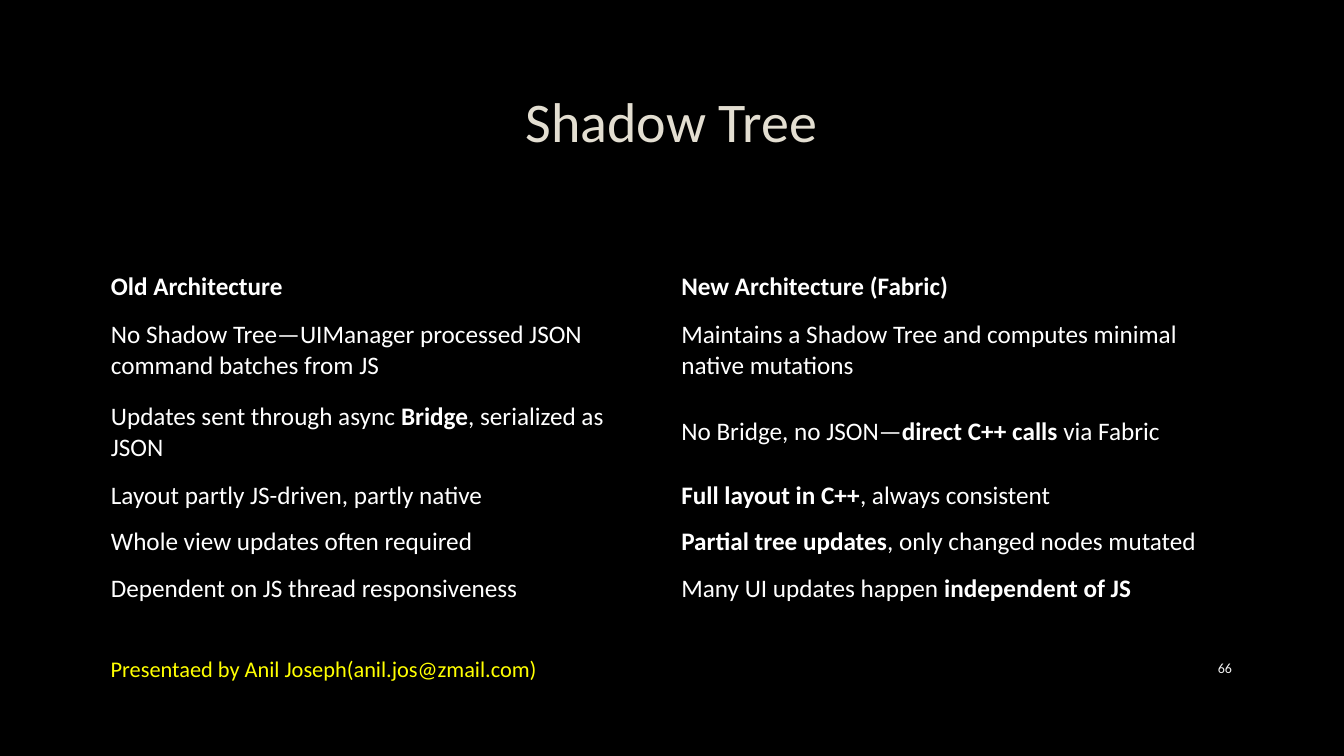
from dataclasses import dataclass

from pptx import Presentation
from pptx.dml.color import RGBColor
from pptx.enum.text import MSO_ANCHOR, PP_ALIGN
from pptx.oxml.ns import qn
from pptx.util import Pt

LEFT, CENTER, RIGHT = PP_ALIGN.LEFT, PP_ALIGN.CENTER, PP_ALIGN.RIGHT
MIDDLE = MSO_ANCHOR.MIDDLE
NO_GRID_STYLE = "{2D5ABB26-0587-4C30-8999-92F81FD0307C}"


@dataclass(frozen=True)
class Theme:
    font: str = "Calibri"
    background: RGBColor = RGBColor(0x00, 0x00, 0x00)
    title: RGBColor = RGBColor(0xE3, 0xDE, 0xD1)
    body: RGBColor = RGBColor(0xFF, 0xFF, 0xFF)
    footer: RGBColor = RGBColor(0xFF, 0xFF, 0x00)
    number: RGBColor = RGBColor(0xF2, 0xF2, 0xF2)
    title_size: int = 40
    body_size: int = 18
    footer_size: int = 16
    number_size: int = 10


@dataclass(frozen=True)
class Span:
    text: str
    bold: bool = False


@dataclass(frozen=True)
class Row:
    height: float
    old: tuple[Span, ...]
    new: tuple[Span, ...]


@dataclass(frozen=True)
class Label:
    text: str
    left: float
    width: float
    size: int
    color: RGBColor
    align: PP_ALIGN


THEME = Theme()
MARGIN, CONTENT_WIDTH = 72, 815
FOOTER_TOP, FOOTER_HEIGHT = 463, 28.8
ONE_LINE, TWO_LINES = 33.12, 58.32

ROWS = (
    Row(ONE_LINE,
        (Span("Old Architecture", True),),
        (Span("New Architecture (Fabric)", True),)),
    Row(TWO_LINES,
        (Span("No Shadow Tree—UIManager processed JSON command batches from JS"),),
        (Span("Maintains a Shadow Tree and computes minimal native mutations"),)),
    Row(TWO_LINES,
        (Span("Updates sent through async "), Span("Bridge", True),
         Span(", serialized as JSON")),
        (Span("No Bridge, no JSON—"), Span("direct C++ calls", True),
         Span(" via Fabric"))),
    Row(ONE_LINE,
        (Span("Layout partly JS-driven, partly native"),),
        (Span("Full layout in C++", True), Span(", always consistent"))),
    Row(ONE_LINE,
        (Span("Whole view updates often required"),),
        (Span("Partial tree updates", True),
         Span(", only changed nodes mutated"))),
    Row(ONE_LINE,
        (Span("Dependent on JS thread responsiveness"),),
        (Span("Many UI updates happen "), Span("independent of JS", True))),
)

LABELS = (
    Label("66", 828, 59, THEME.number_size, THEME.number, RIGHT),
    Label("Presentaed by Anil Joseph(anil.jos@zmail.com)", MARGIN, 525.6,
          THEME.footer_size, THEME.footer, LEFT),
)


def write(tf, spans: tuple[Span, ...], size: int, color: RGBColor,
          align: PP_ALIGN = LEFT) -> None:
    tf.word_wrap = True
    p = tf.paragraphs[0]
    p.alignment = align
    for span in spans:
        r = p.add_run()
        r.text = span.text
        r.font.name = THEME.font
        r.font.size = Pt(size)
        r.font.bold = span.bold
        r.font.color.rgb = color


def add_title(s, text: str) -> None:
    sp = s.shapes.title
    sp.left, sp.top = Pt(MARGIN), Pt(48)
    sp.width, sp.height = Pt(CONTENT_WIDTH), Pt(76.3)
    sp.text_frame.vertical_anchor = MIDDLE
    write(sp.text_frame, (Span(text),), THEME.title_size, THEME.title, CENTER)


def add_comparison(s, rows: tuple[Row, ...]) -> None:
    height = sum(row.height for row in rows)
    table = s.shapes.add_table(len(rows), 2, Pt(MARGIN), Pt(188),
                               Pt(CONTENT_WIDTH), Pt(height)).table
    table.horz_banding = False
    table._tbl.tblPr.find(qn("a:tableStyleId")).text = NO_GRID_STYLE
    for i, row in enumerate(rows):
        table.rows[i].height = Pt(row.height)
        for j, spans in enumerate((row.old, row.new)):
            cell = table.cell(i, j)
            cell.fill.background()
            cell.vertical_anchor = MIDDLE
            write(cell.text_frame, spans, THEME.body_size, THEME.body)


def add_label(s, label: Label) -> None:
    sp = s.shapes.add_textbox(Pt(label.left), Pt(FOOTER_TOP),
                              Pt(label.width), Pt(FOOTER_HEIGHT))
    sp.text_frame.vertical_anchor = MIDDLE
    write(sp.text_frame, (Span(label.text),), label.size, label.color,
          label.align)


def main() -> None:
    prs = Presentation()
    prs.slide_width, prs.slide_height = Pt(960), Pt(540)
    s = prs.slides.add_slide(prs.slide_layouts.get_by_name("Title Only"))
    s.background.fill.solid()
    s.background.fill.fore_color.rgb = THEME.background
    add_title(s, "Shadow Tree")
    add_comparison(s, ROWS)
    for label in LABELS:
        add_label(s, label)
    prs.save("out.pptx")


if __name__ == "__main__":
    main()
